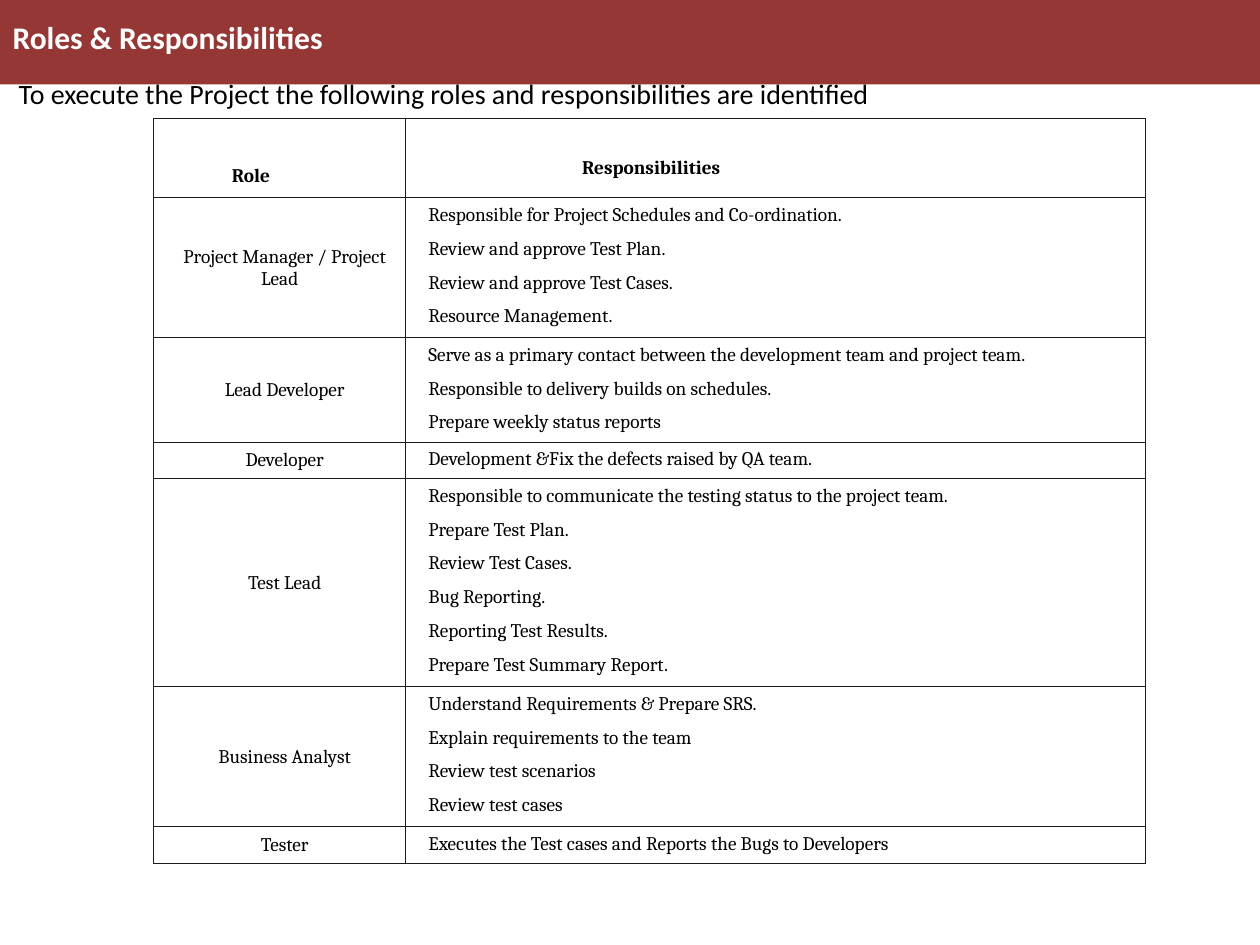
from lxml import etree
from pptx import Presentation
from pptx import util as u
from pptx.dml.color import RGBColor
from pptx.enum import shapes, text
from pptx.oxml.ns import qn

TITLE = "Roles & Responsibilities"
INTRO = "To execute the Project the following roles and responsibilities are identified"
HEAD = ("Role", "Responsibilities")
ROLES = [
    ("Project Manager / Project Lead", [
        "Responsible for Project Schedules and Co-ordination.",
        "Review and approve Test Plan.",
        "Review and approve Test Cases.",
        "Resource Management."]),
    ("Lead Developer", [
        "Serve as a primary contact between the development team and project team.",
        "Responsible to delivery builds on schedules.",
        "Prepare weekly status reports"]),
    ("Developer", ["Development &Fix the defects raised by QA team."]),
    ("Test Lead", [
        "Responsible to communicate the testing status to the project team.",
        "Prepare Test Plan.",
        "Review Test Cases.",
        "Bug Reporting.",
        "Reporting Test Results.",
        "Prepare Test Summary Report."]),
    ("Business Analyst", [
        "Understand Requirements & Prepare SRS.",
        "Explain requirements to the team",
        "Review test scenarios",
        "Review test cases"]),
    ("Tester", ["Executes the Test cases and Reports the Bugs to Developers"]),
]
COLS = (2, 5.87)
ROWS = (0.63, 1.11, 0.83, 0.29, 1.65, 1.11, 0.29)
COLOR = {"band": "943735", "white": "FFFFFF", "black": "000000", "rule": "1C1C1C"}
LEFT, MID = text.PP_ALIGN.LEFT, text.PP_ALIGN.CENTER
TOP, CTR = text.MSO_ANCHOR.TOP, text.MSO_ANCHOR.MIDDLE
PAD = (0.1, 0.05, 0.1, 0.05)


def rgb(name):
    return RGBColor.from_string(COLOR[name])


def apply(obj, **vals):
    for key, val in vals.items():
        setattr(obj, key, val)


def place(obj, *box):
    apply(obj, **dict(zip(("left", "top", "width", "height"), map(u.Inches, box))))


def pad(obj, *gaps):
    keys = ("margin_left", "margin_top", "margin_right", "margin_bottom")
    apply(obj, **dict(zip(keys, map(u.Inches, gaps))))


def write(frame, lines, font, size, color="black", bold=False, align=LEFT,
          lead=1, gap=0, first=0):
    """Fill a frame with paragraphs; first is the first-line indent in inches."""
    for i, line in enumerate(lines):
        par = frame.paragraphs[0] if i == 0 else frame.add_paragraph()
        par.text = line
        apply(par, alignment=align, line_spacing=lead,
              space_before=u.Pt(gap if i else 0), space_after=u.Pt(gap))
        apply(par.font, name=font, size=u.Pt(size), bold=bold)
        par.font.color.rgb = rgb(color)
        prop = par._p.get_or_add_pPr()
        prop.set("marL", "0")
        prop.set("indent", str(u.Inches(first)))


def border(cell):
    prop = cell._tc.get_or_add_tcPr()
    for side in ("lnL", "lnR", "lnT", "lnB"):
        line = etree.SubElement(prop, qn("a:" + side), w=str(u.Pt(0.57)))
        fill = etree.SubElement(line, qn("a:solidFill"))
        etree.SubElement(fill, qn("a:srgbClr"), val=COLOR["rule"])


def cell_text(cell, lines, anchor=TOP, top=0.05, **form):
    border(cell)
    cell.fill.solid()
    cell.fill.fore_color.rgb = rgb("white")
    cell.vertical_anchor = anchor
    pad(cell, 0.1, top, 0.1, 0.05)
    style = dict(lead=0.98, gap=3.4, first=0.08)
    write(cell.text_frame, lines, "Cambria", 11, **{**style, **form})


def add_band(slide):
    band = slide.shapes.add_shape(shapes.MSO_SHAPE.RECTANGLE, 0, 0,
                                  u.Inches(10), u.Inches(0.67))
    band.shadow.inherit = False
    band.fill.solid()
    band.fill.fore_color.rgb = rgb("band")
    band.line.fill.background()
    slide.shapes._spTree.insert(2, band._element)  # behind the title


def add_title(slide):
    title = slide.shapes.title
    place(title, 0.1, 0.14, 9.48, 0.46)
    frame = title.text_frame
    pad(frame, 0, 0, 0, 0)
    apply(frame, vertical_anchor=TOP, auto_size=text.MSO_AUTO_SIZE.NONE)
    write(frame, [TITLE], "Calibri", 18, "white", True, lead=1.02)


def add_roles(slide):
    box = map(u.Inches, (1.22, 0.94, sum(COLS), sum(ROWS)))
    table = slide.shapes.add_table(len(ROWS), len(COLS), *box).table
    apply(table, first_row=False, horz_banding=False)
    for col, wide in zip(table.columns, COLS):
        col.width = u.Inches(wide)
    for row, high in zip(table.rows, ROWS):
        row.height = u.Inches(high)
    for c, (name, top, first) in enumerate(zip(HEAD, (0.37, 0.31), (0.52, 1.3))):
        cell_text(table.cell(0, c), [name], top=top, first=first, bold=True)
    for r, (role, tasks) in enumerate(ROLES, 1):
        cell_text(table.cell(r, 0), [role], CTR, align=MID)
        cell_text(table.cell(r, 1), tasks)


def add_intro(slide):
    box = slide.shapes.add_textbox(0, 0, 0, 0)
    place(box, 0.05, 0.58, 9.59, 0.35)
    frame = box.text_frame
    pad(frame, *PAD)
    apply(frame, word_wrap=True, auto_size=text.MSO_AUTO_SIZE.SHAPE_TO_FIT_TEXT)
    write(frame, [INTRO], "Calibri", 16, lead=0.93)


def main():
    deck = Presentation()
    apply(deck, slide_width=u.Inches(10), slide_height=u.Inches(7.5))
    slide = deck.slides.add_slide(deck.slide_layouts[5])
    for add in (add_band, add_title, add_roles, add_intro):
        add(slide)
    deck.save("out.pptx")


if __name__ == "__main__":
    main()
